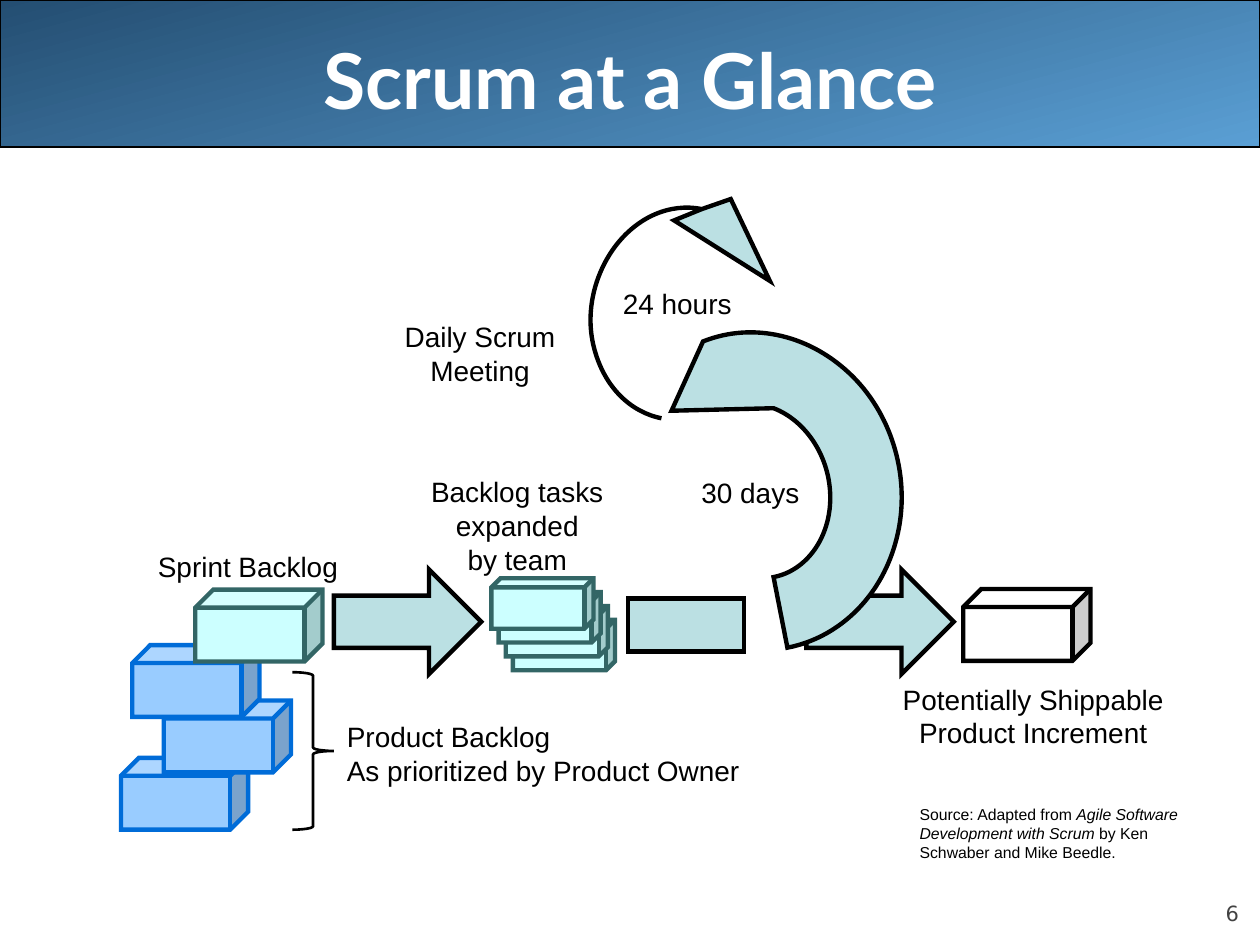
"""Build the Scrum overview slide."""
from lxml import etree
from pptx import Presentation, util as u
from pptx.dml import color as dml
from pptx.enum import shapes, text
from pptx.oxml import ns

COLS, ROWS = 100, 75
COLORS = {
    "black": "000000", "white": "FFFFFF", "grey": "424242",
    "teal": "BBE0E3", "mint": "CCFFFF", "green": "336666",
    "sky": "99CCFF", "blue": "006CD8",
    "banner_dark": "244E72", "banner_light": "5A9FD4",
}
SHAPE, ALIGN, ANCHOR = shapes.MSO_SHAPE, text.PP_ALIGN, text.MSO_ANCHOR


def rgb(name):
    return dml.RGBColor.from_string(COLORS[name])


def write(p, content, size=16, font="Arial", color="black", bold=False, italic=False):
    r = p.add_run()
    r.text = content
    r.font.size, r.font.name = u.Pt(size), font
    r.font.bold, r.font.italic = bold, italic
    r.font.color.rgb = rgb(color)


def reverse(start, curves):
    points = [start, *(q for c in curves for q in c)][-2::-1]
    return [points[i:i + 3] for i in range(0, len(points), 3)]


class Deck:
    def __init__(self):
        self.prs = Presentation()
        self.prs.slide_width, self.prs.slide_height = u.Inches(10), u.Inches(7.5)
        self.s = self.prs.slides.add_slide(self.prs.slide_layouts[6])

    def x(self, cols):
        return round(self.prs.slide_width * cols / COLS)

    def y(self, rows):
        return round(self.prs.slide_height * rows / ROWS)

    def box(self, left, top, width, height):
        return self.x(left), self.y(top), self.x(width), self.y(height)

    def paint(self, sp, fill, line, weight):
        sp.shadow.inherit = False
        if fill:
            sp.fill.solid()
            sp.fill.fore_color.rgb = rgb(fill)
        else:
            sp.fill.background()
        sp.line.color.rgb = rgb(line)
        sp.line.width = u.Pt(weight)
        etree.SubElement(sp._element.spPr.find(ns.qn("a:ln")), ns.qn("a:miter"), lim="800000")
        return sp

    def shape(self, kind, at, fill=None, line="black", weight=2.5, adj=None):
        sp = self.s.shapes.add_shape(kind, *self.box(*at))
        if adj is not None:
            sp.adjustments[0] = adj
        return self.paint(sp, fill, line, weight)

    def outline(self, start, segments, fill="teal"):
        """Draw a closed path whose segments hold one point (line) or three (curve)."""
        builder = self.s.shapes.build_freeform(self.x(start[0]), self.y(start[1]))
        builder.add_line_segments([(self.x(a), self.y(b)) for seg in segments for a, b in seg])
        sp = builder.convert_to_shape()
        lines = iter(list(sp._element.iter(ns.qn("a:lnTo"))))
        for seg in segments:
            first, *others = [next(lines) for _ in seg]
            if others:
                first.tag = ns.qn("a:cubicBezTo")
            for other in others:
                first.append(other[0])
                other.getparent().remove(other)
        path = next(sp._element.iter(ns.qn("a:path")))
        if path.find(ns.qn("a:close")) is None:
            etree.SubElement(path, ns.qn("a:close"))
        return self.paint(sp, fill, "black", 2.5)

    def label(self, content, at, align=ALIGN.CENTER, anchor=ANCHOR.TOP,
              wrap=False, inset=True, **style):
        tf = self.s.shapes.add_textbox(*self.box(*at)).text_frame
        tf.word_wrap, tf.vertical_anchor = wrap, anchor
        if not inset:
            tf.margin_left = tf.margin_right = tf.margin_top = tf.margin_bottom = 0
        for i, row in enumerate(content.split("\n")):
            p = tf.add_paragraph() if i else tf.paragraphs[0]
            p.alignment = align
            for n, part in enumerate(row.split("*")):
                write(p, part, italic=n % 2 == 1, **style)

    def banner(self, at):
        sp = self.shape(SHAPE.ROUNDED_RECTANGLE, at, weight=0.75, adj=0)
        sp.fill.gradient()
        sp.fill.gradient_angle = 285
        for stop, name in zip(sp.fill.gradient_stops, ("banner_dark", "banner_light")):
            stop.color.rgb = rgb(name)


def main():
    deck = Deck()
    deck.banner((0, 0, 100, 11.66))
    deck.label("6", (90, 69.5, 8.33, 4), ALIGN.RIGHT, ANCHOR.BOTTOM, wrap=True,
               inset=False, size=12, font="DejaVu Sans", color="grey")
    deck.label("Scrum at a Glance", (5, 0, 90, 12.5), anchor=ANCHOR.MIDDLE, wrap=True,
               size=44, font="Lato", color="white", bold=True)

    deck.shape(SHAPE.RIGHT_ARROW, (64, 45.2, 11.7, 8.3), "teal")
    deck.shape(SHAPE.RECTANGLE, (49.85, 47.5, 9.2, 4.2), "teal")

    day_start = (52.5, 33.2)
    day_arc = [((50, 32.7), (48, 30.7), (47.2, 27.8)),
               ((46.4, 25), (47.1, 21.9), (48.8, 19.6)),
               ((50.6, 17.2), (53.2, 16.1), (55.7, 16.6))]
    day_head = [((58, 15.8),), ((61.1, 22.3),), ((53.5, 17.5),), ((55.7, 16.6),)]
    deck.outline(day_start, day_arc + day_head + reverse(day_start, day_arc))

    for left, top in ((9.6, 60.15), (13, 55.6), (10.5, 51.2)):
        deck.shape(SHAPE.CUBE, (left, top, 10.1, 5.7), "sky", "blue", adj=0.25)
    deck.shape(SHAPE.CUBE, (15.5, 46.8, 10.1, 5.7), "mint", "green", adj=0.25)
    for i in range(3, -1, -1):
        deck.shape(SHAPE.CUBE, (39 + 0.57 * i, 45.9 + 1.1 * i, 8.1, 4),
                   "mint", "green", adj=0.18)

    deck.label("30 days", (54.65, 37.25, 9.8, 3.7))
    deck.label("24 hours", (48.4, 22.25, 10.7, 3.7))

    deck.outline((62.5, 51.4), [
        ((66.7, 50.6), (70.1, 47.2), (71.2, 42.6)),
        ((72.3, 38.1), (70.9, 33.1), (67.7, 29.9)),
        ((64.4, 26.6), (59.8, 25.5), (55.8, 27.1)),
        ((53.3, 32.6),),
        ((61.4, 32.4),),
        ((64, 33.4), (65.9, 36.3), (65.9, 39.5)),
        ((65.9, 42.7), (64, 45.3), (61.4, 45.8)),
    ])

    deck.shape(SHAPE.RIGHT_ARROW, (26.5, 45.2, 11.7, 8.3), "teal")
    deck.shape(SHAPE.CUBE, (76.45, 46.75, 10.1, 5.7), "white", adj=0.25)
    deck.shape(SHAPE.RIGHT_BRACE, (23.2, 53.35, 3.3, 12.5), weight=1.5)

    deck.label("Product Backlog\nAs prioritized by Product Owner",
               (26.55, 56.65, 33.3, 6.4), ALIGN.LEFT)
    deck.label("Sprint Backlog", (11.55, 43.1, 16.3, 3.7), ALIGN.LEFT)
    deck.label("Backlog tasks\nexpanded\nby team", (33.2, 37.2, 15.7, 9))
    deck.label("Potentially Shippable\nProduct Increment", (70.65, 53.65, 22.7, 6.4))
    deck.label("Daily Scrum\nMeeting", (31.1, 24.9, 14, 6.4))
    deck.label("Source: Adapted from *Agile Software Development with Scrum *"
               "by Ken Schwaber and Mike Beedle.",
               (72, 63.35, 25.8, 5.5), ALIGN.LEFT, wrap=True, size=9)
    deck.prs.save("out.pptx")


if __name__ == "__main__":
    main()
